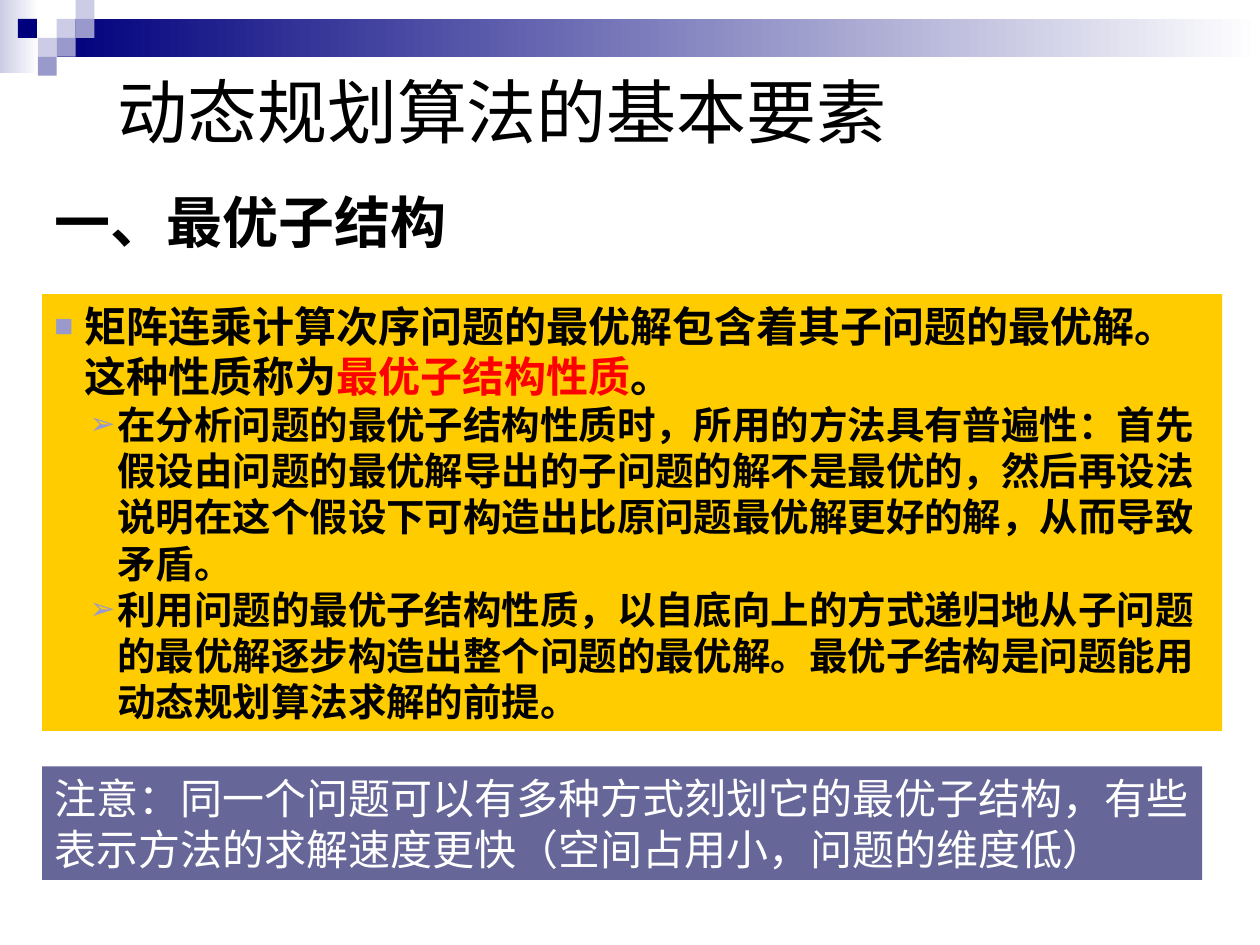
import pptx
import pptx.dml.color
import pptx.enum.lang
import pptx.enum.shapes
import pptx.enum.text
import pptx.oxml
import pptx.oxml.ns
import pptx.util

RGBColor = pptx.dml.color.RGBColor
BLACK = RGBColor(0x00, 0x00, 0x00)
WHITE = RGBColor(0xFF, 0xFF, 0xFF)
RED = RGBColor(0xFF, 0x00, 0x00)
NAVY = RGBColor(0x00, 0x00, 0x7D)
LAVENDER = RGBColor(0x99, 0x99, 0xCC)
PALE = RGBColor(0xCC, 0xCC, 0xE6)
SLATE = RGBColor(0x66, 0x66, 0x99)
GOLD = RGBColor(0xFF, 0xCC, 0x00)

FONT = "Arial"
COLUMNS, ROWS = 60, 45
PIXEL = 0.9  # side of a small corner square, in grid units
TOP, MIDDLE = pptx.enum.text.MSO_ANCHOR.TOP, pptx.enum.text.MSO_ANCHOR.MIDDLE


class Deck:
    """Style and current slide; boxes are (column, row, columns, rows)."""

    def __init__(self):
        self.prs = pptx.Presentation()
        self.prs.slide_width = pptx.util.Inches(10)
        self.prs.slide_height = pptx.util.Inches(7.5)
        self.slide = self.prs.slides.add_slide(self.prs.slide_layouts[6])

    def place(self, box):
        col, row, cols, rows = box
        dx = self.prs.slide_width / COLUMNS
        dy = self.prs.slide_height / ROWS
        return round(col * dx), round(row * dy), round(cols * dx), round(rows * dy)

    def rect(self, box, color, fade_to=None):
        """Add a borderless rectangle, fading left to right if fade_to is given."""
        sp = self.slide.shapes.add_shape(
            pptx.enum.shapes.MSO_SHAPE.RECTANGLE, *self.place(box))
        sp.shadow.inherit = False
        sp.line.fill.background()
        if fade_to is None:
            sp.fill.solid()
            sp.fill.fore_color.rgb = color
        else:
            sp.fill.gradient()
            sp.fill.gradient_angle = 0
            for stop, shade in zip(sp.fill.gradient_stops, (color, fade_to)):
                stop.color.rgb = shade
        return sp

    def text_box(self, box):
        return self.slide.shapes.add_textbox(*self.place(box))

    def frame(self, sp, anchor=TOP):
        tf = sp.text_frame
        tf.word_wrap = True
        tf.vertical_anchor = anchor
        return tf

    def paragraph(self, p, runs, size, bold=False):
        """Fill a paragraph from (text, color) pairs."""
        p.alignment = pptx.enum.text.PP_ALIGN.LEFT
        for text, color in runs:
            r = p.add_run()
            r.text = text
            r.font.name = FONT
            r.font.size = pptx.util.Pt(size)
            r.font.bold = bold
            r.font.color.rgb = color
            r.font.language_id = pptx.enum.lang.MSO_LANGUAGE_ID.SIMPLIFIED_CHINESE

    def bullet(self, p, char, percent, margin, hang):
        """Hang a coloured bullet; margin and hang are in inches."""
        pPr = p._p.get_or_add_pPr()
        pPr.set("marL", str(pptx.util.Inches(margin)))
        pPr.set("indent", str(-pptx.util.Inches(hang)))
        ns = pptx.oxml.ns.nsdecls("a")
        for xml in (
            f'<a:buClr {ns}><a:srgbClr val="{LAVENDER}"/></a:buClr>',
            f'<a:buSzPct {ns} val="{percent * 1000}"/>',
            f'<a:buFont {ns} typeface="{FONT}"/>',
            f'<a:buChar {ns} char="{char}"/>',
        ):
            pPr.append(pptx.oxml.parse_xml(xml))


def main():
    deck = Deck()

    deck.rect((0, 0, 1.86, 3.5), PALE, WHITE)
    deck.rect((3 * PIXEL, PIXEL, COLUMNS - 3 * PIXEL, 2 * PIXEL), NAVY, WHITE)
    corner_squares = [
        (3, 1, PALE), (4, 0, PALE), (4, 1, LAVENDER), (2, 2, PALE),
        (0.95, 1, NAVY), (3, 2, LAVENDER), (2, 3, LAVENDER),
    ]
    for col, row, color in corner_squares:
        deck.rect((col * PIXEL, row * PIXEL, PIXEL, PIXEL), color)

    tf = deck.frame(deck.text_box((5, 1.5, 51, 7.5)), MIDDLE)
    deck.paragraph(tf.paragraphs[0], [("动态规划算法的基本要素", BLACK)], 40)

    tf = deck.frame(deck.text_box((2, 9, 51, 3.5)))
    tf.paragraphs[0].line_spacing = 0.9
    deck.paragraph(tf.paragraphs[0], [("一、最优子结构", BLACK)], 32, bold=True)

    tf = deck.frame(deck.rect((2, 14, 56.2, 20.8), GOLD))
    p = tf.paragraphs[0]
    deck.bullet(p, "■", 75, 0.24, 0.24)
    deck.paragraph(p, [
        ("矩阵连乘计算次序问题的最优解包含着其子问题的最优解。这种性质称为", BLACK),
        ("最优子结构性质", RED),
        ("。", BLACK),
    ], 24, bold=True)
    details = [
        "在分析问题的最优子结构性质时，所用的方法具有普遍性：首先假设由问题的最优解导出的子问题的解"
        "不是最优的，然后再设法说明在这个假设下可构造出比原问题最优解更好的解，从而导致矛盾。",
        "利用问题的最优子结构性质，以自底向上的方式递归地从子问题的最优解逐步构造出整个问题的最优解。"
        "最优子结构是问题能用动态规划算法求解的前提。",
    ]
    for detail in details:
        p = tf.add_paragraph()
        p.level = 1
        deck.bullet(p, "➢", 80, 0.5, 0.22)
        deck.paragraph(p, [(detail, BLACK)], 22, bold=True)

    tf = deck.frame(deck.rect((2, 36.5, 55.25, 5.4), SLATE))
    deck.paragraph(tf.paragraphs[0], [
        ("注意：同一个问题可以有多种方式刻划它的最优子结构，有些表示方法的求解速度更快"
         "（空间占用小，问题的维度低）", WHITE),
    ], 24)

    deck.prs.save("out.pptx")


if __name__ == "__main__":
    main()
